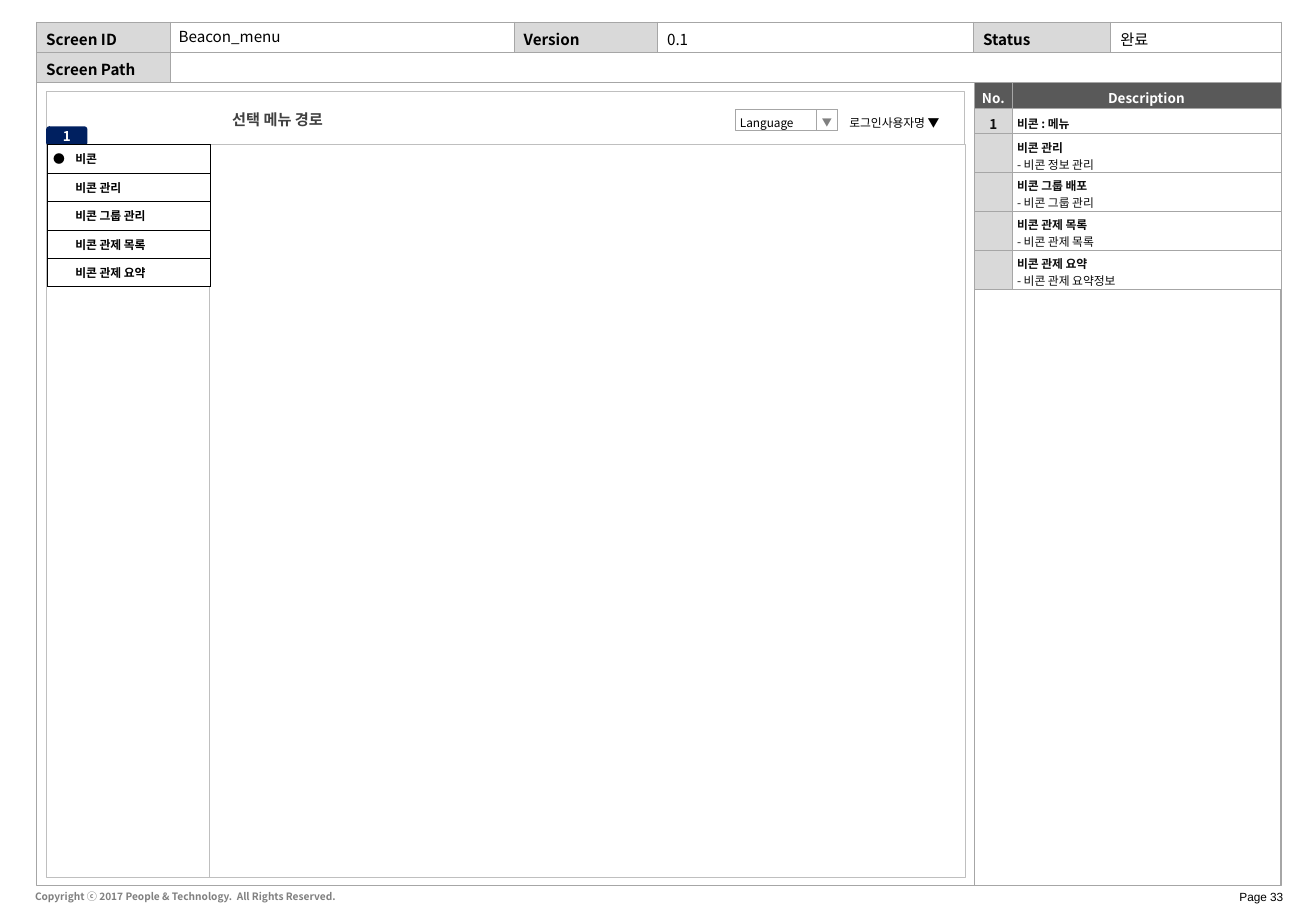
from lxml.etree import SubElement
from pptx import Presentation
from pptx.dml.color import RGBColor
from pptx.enum.shapes import MSO_SHAPE as SHAPE
from pptx.enum.text import MSO_ANCHOR as ANCHOR, MSO_AUTO_SIZE as AUTO, PP_ALIGN as ALIGN
from pptx.oxml.ns import qn
from pptx.util import Inches, Pt

# Content
TITLE = "Beacon_menu"
COPYRIGHT = "Copyright ⓒ 2017 People & Technology.  All Rights Reserved."
PAGE = "Page 33"
HEADER = [
    ["Screen ID", "", "Version", "0.1", "Status", "완료"],
    ["Screen Path", "", "", "", "", ""],
]
DESCRIPTION = [
    ("No.", "Description"),
    ("1", "비콘 : 메뉴"),
    ("", "비콘 관리\n- 비콘 정보 관리"),
    ("", "비콘 그룹 배포\n- 비콘 그룹 관리"),
    ("", "비콘 관제 목록\n- 비콘 관제 목록"),
    ("", "비콘 관제 요약\n- 비콘 관제 요약정보"),
]
MENU = ["비콘", "비콘 관리", "비콘 그룹 관리", "비콘 관제 목록", "비콘 관제 요약"]

FONT = "Noto Sans CJK KR"
COLORS = {
    "black": "000000", "white": "FFFFFF", "ink": "0D0D0D", "title": "404040",
    "muted": "808080", "label": "D9D9D9", "dark": "595959", "navy": "002060",
    "border": "A6A6A6", "frame": "BFBFBF",
}
HAIRLINE = Pt(0.25)
ALL_SIDES = "LRTB"


def rgb(name):
    return RGBColor.from_string(COLORS[name])


def write(target, text, size=7, color="black", bold=False, align=ALIGN.LEFT,
          anchor=ANCHOR.MIDDLE, inset=(0.1, 0.05, 0.1, 0.05), spacing=None,
          font=FONT, wrap=True):
    """Fill a shape or table cell; only the first line takes the bold setting."""
    tf = target.text_frame
    box = target
    if hasattr(target, "shape_type"):
        box = tf
        tf.word_wrap = wrap
        tf.auto_size = AUTO.NONE
    box.vertical_anchor = anchor
    box.margin_left, box.margin_top, box.margin_right, box.margin_bottom = map(Inches, inset)
    for i, line in enumerate(text.split("\n")):
        p = tf.add_paragraph() if i else tf.paragraphs[0]
        p.alignment = align
        if spacing:
            p.line_spacing = spacing
        if not line:
            SubElement(p._p, qn("a:endParaRPr"), sz=str(size * 100))
            continue
        r = p.add_run()
        r.text = line
        r.font.name, r.font.size = font, Pt(size)
        r.font.bold = bold and i == 0
        r.font.color.rgb = rgb(color)
        SubElement(r._r.get_or_add_rPr(), qn("a:ea"), typeface=font)


def add_box(at, fill=None, line=None, kind=SHAPE.RECTANGLE):
    s = shapes.add_shape(kind, *map(Inches, at))
    s.shadow.inherit = False
    if fill:
        s.fill.solid()
        s.fill.fore_color.rgb = rgb(fill)
    else:
        s.fill.background()
    if line:
        s.line.color.rgb = rgb(line)
        s.line.width = HAIRLINE
    else:
        s.line.fill.background()
    return s


def add_grid(left, top, widths, heights):
    frame = shapes.add_table(len(heights), len(widths), Inches(left), Inches(top),
                             Inches(sum(widths)), Inches(sum(heights)))
    table = frame.table
    table.first_row = table.horz_banding = False
    for col, width in zip(table.columns, widths):
        col.width = Inches(width)
    for row, height in zip(table.rows, heights):
        row.height = Inches(height)
    return table


def style_cell(cell, fill=None, line="border", sides=ALL_SIDES):
    tc_pr = cell._tc.get_or_add_tcPr()
    for side in ALL_SIDES:
        ln = SubElement(tc_pr, qn(f"a:ln{side}"), w=str(HAIRLINE))
        if side in sides:
            SubElement(SubElement(ln, qn("a:solidFill")), qn("a:srgbClr"), val=COLORS[line])
        else:
            SubElement(ln, qn("a:noFill"))
    if fill:
        cell.fill.solid()
        cell.fill.fore_color.rgb = rgb(fill)
    else:
        cell.fill.background()


prs = Presentation()
prs.slide_width, prs.slide_height = Inches(10.83), Inches(7.5)
slide = prs.slides.add_slide(prs.slide_layouts[5])
shapes = slide.shapes

# Page frame and footer
add_box((0.3, 0.68, 10.24, 6.61), line="border")
add_box((8.02, 0.68, 2.52, 6.61), line="border")
add_box((0.38, 0.76, 7.56, 6.46), line="frame")
sp = shapes.add_textbox(*map(Inches, (0.19, 7.28, 3.26, 0.2)))
write(sp, COPYRIGHT, size=6, color="muted", bold=True, anchor=ANCHOR.TOP)
sp = shapes.add_textbox(*map(Inches, (9.57, 7.27, 1.12, 0.22)))
write(sp, PAGE, align=ALIGN.RIGHT, inset=(0.13, 0.07, 0.13, 0.07), font="Arial", wrap=False)

# Screen information table
table = add_grid(0.3, 0.18, [1.1, 2.83, 1.18, 2.6, 1.13, 1.4], [0.25] * 2)
for i, row in enumerate(HEADER):
    for j, text in enumerate(row):
        is_label = bool(text) and j % 2 == 0
        cell = table.cell(i, j)
        style_cell(cell, fill="label" if is_label else None)
        write(cell, text, size=9, bold=is_label, anchor=ANCHOR.TOP, inset=(0.08, 0.05, 0, 0))
table.cell(1, 1).merge(table.cell(1, 5))

# Description table
heights = [0.31 if "\n" in text else 0.21 for _, text in DESCRIPTION]
table = add_grid(8.02, 0.68, [0.31, 2.21], heights)
for i, row in enumerate(DESCRIPTION):
    for j, text in enumerate(row):
        is_heading, is_number = i == 0, j == 0
        cell = table.cell(i, j)
        style_cell(cell, fill="dark" if is_heading else "label" if is_number else "white")
        write(cell, text, size=8 if is_heading or is_number and text else 7,
              color="white" if is_heading else "ink", bold=True,
              align=ALIGN.CENTER if is_heading or is_number else ALIGN.LEFT,
              inset=(0.04, 0.04, 0.04, 0))

# Screen mock-up
add_box((1.72, 1.19, 6.22, 6.03), fill="white", line="frame")
add_box((0.38, 0.75, 7.56, 0.44), fill="white", line="frame")
control = dict(inset=(0.04, 0.05, 0.04, 0.05), spacing=1.5)
write(add_box((6.05, 0.9, 0.84, 0.17), "white", "border"), "Language", **control)
write(add_box((6.72, 0.9, 0.17, 0.17), "white", "border"), "▼", size=6, color="muted",
      align=ALIGN.CENTER, **control)
write(add_box((6.95, 0.9, 0.91, 0.17), "white"), "로그인사용자명 ▼", **control)
write(add_box((0.38, 1.04, 0.34, 0.16), "navy", kind=SHAPE.ROUNDED_RECTANGLE), "1",
      size=8, color="white", bold=True, align=ALIGN.CENTER, inset=(0.02, 0.05, 0.02, 0.05))
sp = shapes.add_textbox(*map(Inches, (1.87, 0.86, 1.1, 0.24)))
write(sp, "선택 메뉴 경로", size=9, color="title", bold=True, inset=(0.04, 0, 0.04, 0))

# Menu table
table = add_grid(0.39, 1.19, [0.19, 1.03, 0.11], [1.17 / len(MENU)] * len(MENU))
for i, item in enumerate(MENU):
    for j, text in enumerate(("" if i else "●", item, "")):
        cell = table.cell(i, j)
        style_cell(cell, fill="white", line="black", sides=("LTB", "TB", "RTB")[j])
        write(cell, text, bold=True, align=ALIGN.LEFT if j else ALIGN.CENTER, inset=(0.04,) * 4)

# Screen title
sp = shapes.title
sp.left, sp.top, sp.width, sp.height = map(Inches, (1.37, 0.17, 6.64, 0.26))
write(sp, TITLE, size=9)

prs.save("out.pptx")
